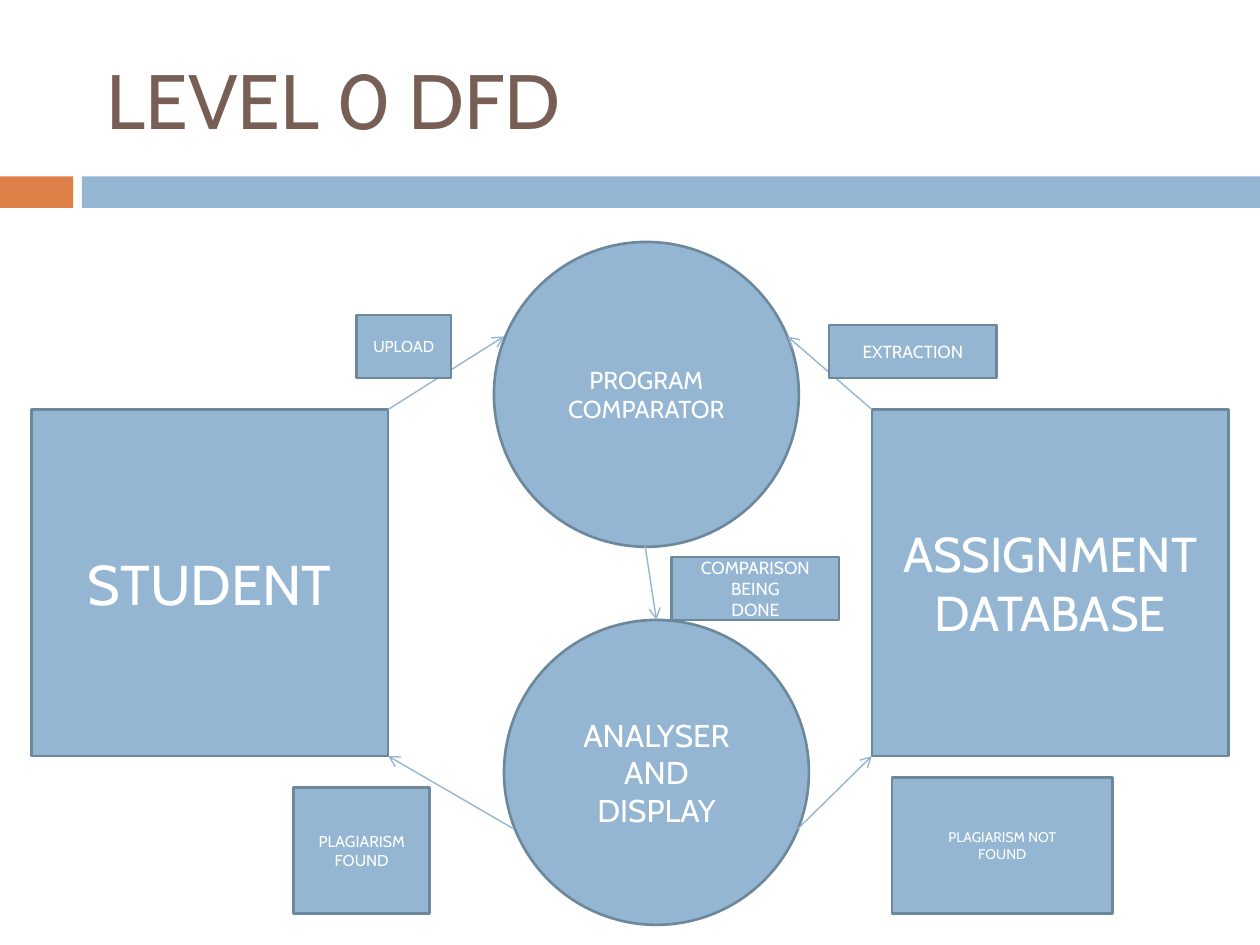
from lxml import etree
from pptx import Presentation
from pptx.dml.color import RGBColor
from pptx.enum.shapes import MSO_CONNECTOR, MSO_SHAPE
from pptx.enum.text import MSO_ANCHOR, PP_ALIGN
from pptx.oxml.ns import qn
from pptx.util import Inches, Pt

RECT, OVAL = MSO_SHAPE.RECTANGLE, MSO_SHAPE.OVAL
STRAIGHT = MSO_CONNECTOR.STRAIGHT
MIDDLE = MSO_ANCHOR.MIDDLE
LEFT, CENTER = PP_ALIGN.LEFT, PP_ALIGN.CENTER


def rgb(color):
    return RGBColor.from_string(color)


class Diagram:
    font = "Cabin"
    blue, edge, orange = "94B6D2", "6D879B", "DD8047"
    brown, white = "775F55", "FFFFFF"

    def __init__(self, slide):
        self.s = slide

    def set_text(self, sp, lines, size, color, align):
        tf = sp.text_frame
        tf.word_wrap = True
        tf.vertical_anchor = MIDDLE
        for i, line in enumerate(lines):
            p = tf.add_paragraph() if i else tf.paragraphs[0]
            p.text = line
            p.alignment = align
            p.font.name, p.font.size = self.font, Pt(size)
            p.font.color.rgb = rgb(color)

    def title(self, text, *box):
        sp = self.s.shapes.add_textbox(*map(Inches, box))
        self.set_text(sp, [text], 44, self.brown, LEFT)

    def shape(self, kind, box, fill):
        sp = self.s.shapes.add_shape(kind, *map(Inches, box))
        sp.shadow.inherit = False
        sp.fill.solid()
        sp.fill.fore_color.rgb = rgb(fill)
        return sp

    def bar(self, box, fill):
        self.shape(RECT, box, fill).line.fill.background()

    def node(self, kind, box, size, *lines):
        sp = self.shape(kind, box, self.blue)
        sp.line.color.rgb = rgb(self.edge)
        sp.line.width = Pt(1.5)
        self.set_text(sp, lines, size, self.white, CENTER)

    def arrow(self, *ends):
        cx = self.s.shapes.add_connector(STRAIGHT, *map(Inches, ends))
        cx.line.color.rgb = rgb(self.blue)
        cx.line.width = Pt(0.79)
        props = cx.element.spPr
        etree.SubElement(props.find(qn("a:ln")), qn("a:tailEnd"), type="arrow")
        etree.SubElement(props, qn("a:effectLst"))


prs = Presentation()
prs.slide_width, prs.slide_height = Inches(10), Inches(7.5)
d = Diagram(prs.slides.add_slide(prs.slide_layouts[6]))

# Header
d.bar((0, 1.4, 0.58, 0.25), d.orange)
d.bar((0.65, 1.4, 9.35, 0.25), d.blue)
d.title("LEVEL 0 DFD", 0.75, 0.16, 7.86, 1.25)

# External entities and processes
d.node(RECT, (0.25, 3.25, 2.83, 2.75), 32, "STUDENT")
d.node(RECT, (6.92, 3.25, 2.83, 2.75), 28, "ASSIGNMENT", "DATABASE")
d.node(OVAL, (3.92, 1.92, 2.42, 2.42), 14, "PROGRAM", "COMPARATOR")
d.node(OVAL, (4, 4.92, 2.42, 2.42), 18, "ANALYSER", "AND", "DISPLAY")

# Data flows
for ends in (
    (3.08, 3.25, 4, 2.67),
    (6.92, 3.25, 6.25, 2.67),
    (4.08, 6.58, 3.08, 6),
    (6.33, 6.58, 6.92, 6),
    (5.12, 4.33, 5.21, 4.92),
):
    d.arrow(*ends)

# Flow labels
d.node(RECT, (2.83, 2.5, 0.75, 0.5), 9, "UPLOAD")
d.node(RECT, (6.58, 2.58, 1.33, 0.42), 10, "EXTRACTION")
d.node(RECT, (2.33, 6.25, 1.08, 1), 9, "PLAGIARISM FOUND")
d.node(RECT, (7.08, 6.17, 1.75, 1.08), 8, "PLAGIARISM NOT", "FOUND")
d.node(RECT, (5.33, 4.42, 1.33, 0.5), 10, "COMPARISON", "BEING", "DONE")

prs.save("out.pptx")
